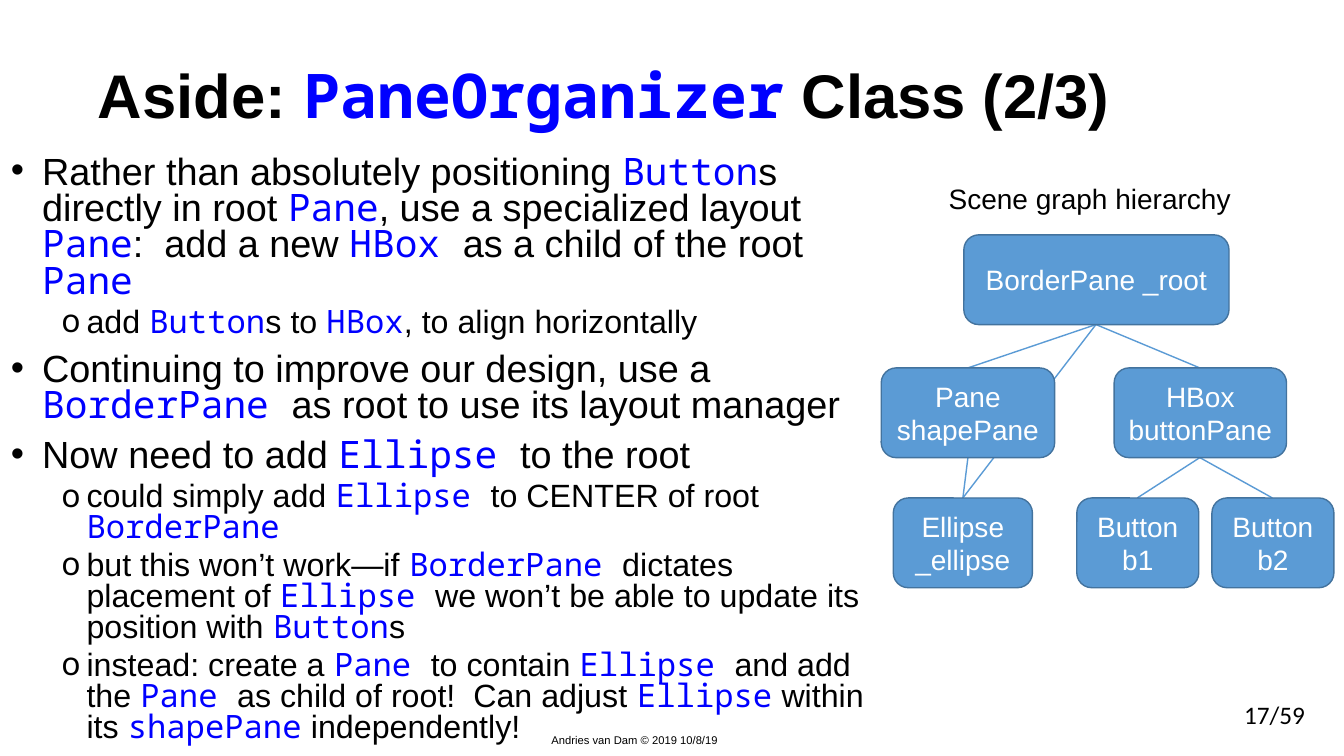
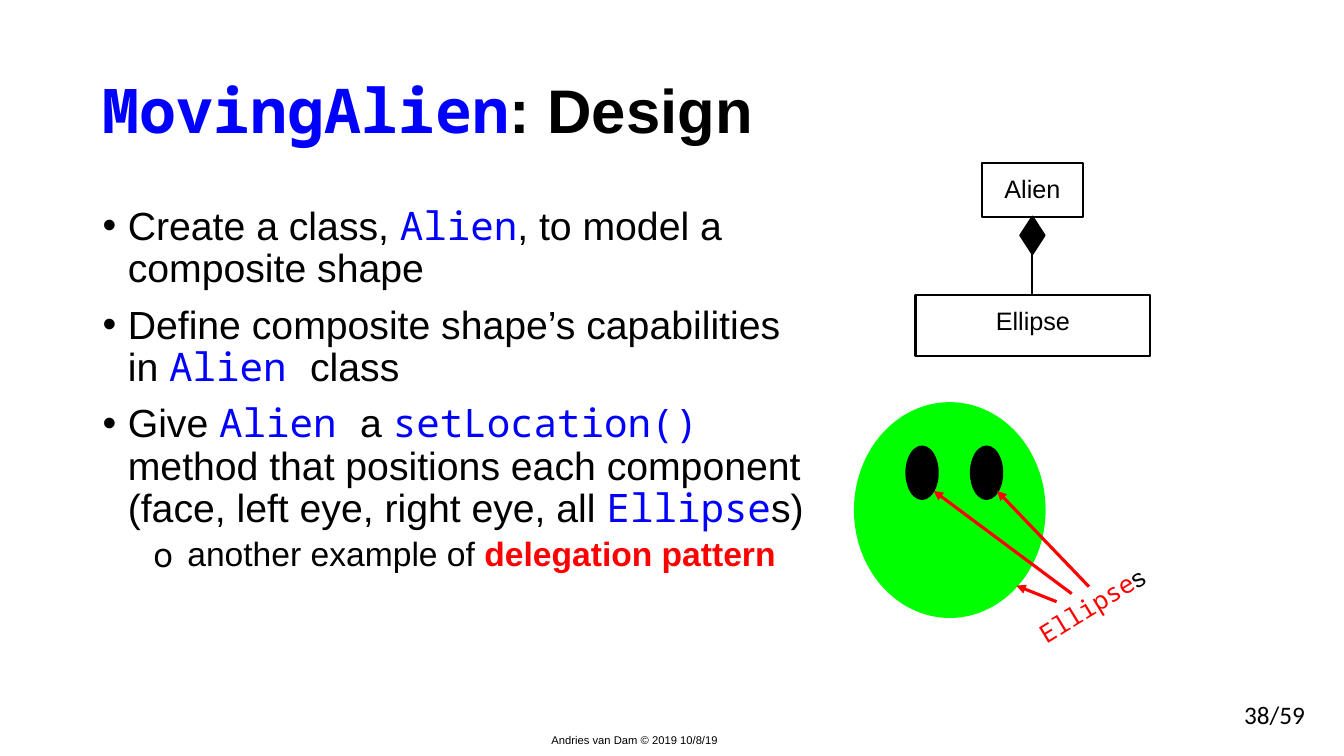
from lxml import etree
from pptx import Presentation
from pptx.dml.color import RGBColor
from pptx.enum.shapes import MSO_CONNECTOR, MSO_SHAPE
from pptx.enum.text import MSO_ANCHOR, MSO_AUTO_SIZE, PP_ALIGN
from pptx.oxml.ns import qn
from pptx.util import Pt

PX = 9144
TOP, MIDDLE = MSO_ANCHOR.TOP, MSO_ANCHOR.MIDDLE
LEFT, CENTER = PP_ALIGN.LEFT, PP_ALIGN.CENTER
NO_FIT, GROW = MSO_AUTO_SIZE.NONE, MSO_AUTO_SIZE.SHAPE_TO_FIT_TEXT
STRAIGHT = MSO_CONNECTOR.STRAIGHT
ROUNDED, RECT = MSO_SHAPE.ROUNDED_RECTANGLE, MSO_SHAPE.RECTANGLE
OVAL, DIAMOND = MSO_SHAPE.OVAL, MSO_SHAPE.FLOWCHART_DECISION

COLORS = {
    "text": "000000",
    "code": "0000FF",
    "key": "FF0000",
    "node": "5B9BD5",
    "node_edge": "43739E",
    "node_text": "FFFFFF",
    "alien": "00FF00",
}
RGB = {name: RGBColor.from_string(value) for name, value in COLORS.items()}

PLAIN = {"name": "Arial", "color": "text"}
CODE = {"name": "Noto Sans Mono", "color": "code"}
KEY = {"name": "Arial", "color": "key", "bold": True}
RED_CODE = {"name": "Noto Sans Mono", "color": "key"}
PAGE = {"name": "Calibri", "color": "text"}
NODE = {"name": "Arial", "color": "node_text"}


def add_runs(paragraph, text, size, plain=PLAIN, accent=CODE, bold=False):
    for index, part in enumerate(text.split("`")):
        if part:
            run = paragraph.add_run()
            run.text = part
            style = {"size": Pt(size), "bold": bold, **(accent if index % 2 else plain)}
            run.font.color.rgb = RGB[style.pop("color")]
            for name, value in style.items():
                setattr(run.font, name, value)


def add_line(slide, start, end, color, width, arrow=False):
    connector = slide.shapes.add_connector(STRAIGHT, *[v * PX for v in (*start, *end)])
    connector.line.color.rgb = RGB[color]
    connector.line.width = Pt(width)
    properties = connector._element.spPr
    if arrow:
        etree.SubElement(properties.find(qn("a:ln")), qn("a:tailEnd"), type="triangle")
    etree.SubElement(properties, qn("a:effectLst"))


PAGES = [
    {
        "title": "Aside: `PaneOrganizer` Class (2/3)",
        "title_box": (87, 60, 1150, 145),
        "anchor": TOP,
        "page": "17/59",
        "body_box": (1, 150, 892, 579),
        "spacing": 0.8,
        "levels": [(27, 31, 31), (23, 75, 25)],
        "body": [
            (0, "Rather than absolutely positioning `Button`s directly in root `Pane`, "
                "use a specialized layout `Pane`:  add a new `HBox `as a child of the root `Pane`"),
            (1, "add `Button`s to `HBox`, to align horizontally"),
            (0, "Continuing to improve our design, use a `BorderPane `as root to use its layout manager"),
            (0, "Now need to add `Ellipse `to the root"),
            (1, "could simply add `Ellipse `to CENTER of root `BorderPane`"),
            (1, "but this won’t work—if `BorderPane `dictates placement of `Ellipse `"
                "we won’t be able to update its position with `Button`s"),
            (1, "instead: create a `Pane `to contain `Ellipse `and add the `Pane `as child of root!"
                "  Can adjust `Ellipse` within its `shapePane` independently!"),
        ],
    },
    {
        "title": "`MovingAlien`: Design",
        "title_box": (92, 40, 1150, 145),
        "anchor": MIDDLE,
        "page": "38/59",
        "body_box": (92, 200, 724, 476),
        "spacing": 0.9,
        "levels": [(28, 25, 25), (24, 84, 34)],
        "sub_accent": KEY,
        "body": [
            (0, "Create a class, `Alien`, to model a composite shape"),
            (0, "Define composite shape’s capabilities in `Alien `class"),
            (0, "Give `Alien `a `setLocation() `method that positions each component "
                "(face, left eye, right eye, all `Ellipse`s)"),
            (1, "another example of `delegation pattern`"),
        ],
    },
]
BULLETS = [("Arial", "•", 10), ("Noto Sans Mono", "o", 5)]

deck = Presentation()
deck.slide_width, deck.slide_height = 1333 * PX, 750 * PX
title_only = deck.slide_layouts[5]
slides = []
labels = []

for page in PAGES:
    slide = deck.slides.add_slide(title_only)
    slides.append(slide)
    title = slide.shapes.title
    for side, value in zip(("left", "top", "width", "height"), page["title_box"]):
        setattr(title, side, value * PX)
    frame = title.text_frame
    frame.auto_size = NO_FIT
    frame.word_wrap = True
    frame.vertical_anchor = page["anchor"]
    heading = frame.paragraphs[0]
    heading.alignment = LEFT
    heading.line_spacing = 0.9
    add_runs(heading, page["title"], 44, bold=True)

    body = slide.shapes.add_textbox(*[v * PX for v in page["body_box"]]).text_frame
    body.word_wrap = True
    for index, (level, text) in enumerate(page["body"]):
        paragraph = body.add_paragraph() if index else body.paragraphs[0]
        size, margin, hanging = page["levels"][level]
        bullet_font, bullet, gap = BULLETS[level]
        paragraph.level = level
        paragraph.line_spacing = page["spacing"]
        paragraph.space_before = Pt(gap if index else 0)
        properties = paragraph._p.get_or_add_pPr()
        properties.set("marL", str(margin * PX))
        properties.set("indent", str(-hanging * PX))
        etree.SubElement(properties, qn("a:buFont"), typeface=bullet_font)
        etree.SubElement(properties, qn("a:buChar"), char=bullet)
        accent = page.get("sub_accent", CODE) if level else CODE
        add_runs(paragraph, text, size, accent=accent)

    labels += [
        (slide, (537, 723, 259, 54), "Andries van Dam © 2019 10/8/19", 8, PLAIN, 5, 0),
        (slide, (1224, 689, 165, 71), page["page"], 18, PAGE, 5, 0),
    ]

hierarchy, design = slides

NODES = {
    "root": ((956, 233, 263, 89), ["BorderPane _root"]),
    "shapes": ((874, 365, 172, 89), ["Pane shapePane"]),
    "buttons": ((1105, 365, 171, 89), ["HBox buttonPane"]),
    "ellipse": ((886, 494, 138, 89), ["Ellipse _ellipse"]),
    "b1": ((1068, 494, 121, 89), ["Button", "b1"]),
    "b2": ((1202, 494, 121, 89), ["Button", "b2"]),
}
EDGES = [
    ("root", "ellipse"), ("root", "shapes"), ("root", "buttons"),
    ("shapes", "ellipse"), ("buttons", "b1"), ("buttons", "b2"),
]
for parent, child in EDGES:
    left, top, width, height = NODES[parent][0]
    child_left, child_top, child_width, _ = NODES[child][0]
    add_line(hierarchy, (left + width // 2, top + height),
             (child_left + child_width // 2, child_top), "node", 1)

add_line(design, (1024, 293), (1024, 215), "text", 1.5)

figures = [(hierarchy, ROUNDED, box, "node", "node_edge", 1, lines, 20, NODE, MIDDLE)
           for box, lines in NODES.values()]
figures += [(design, RECT, box, None, "text", 1.5, [name], 18, PLAIN, TOP)
            for name, box in (("Alien", (974, 162, 100, 53)), ("Ellipse", (908, 293, 233, 60)))]
figures += [(design, kind, box, color, color, 1.5, [], 18, PLAIN, TOP)
            for kind, box, color in (
                (DIAMOND, (1012, 215, 24, 37), "text"),
                (OVAL, (848, 400, 188, 212), "alien"),
                (OVAL, (899, 443, 31, 52), "text"),
                (OVAL, (963, 443, 31, 52), "text"))]

for slide, kind, box, fill, edge, width, lines, size, style, anchor in figures:
    figure = slide.shapes.add_shape(kind, *[v * PX for v in box])
    figure.shadow.inherit = False
    if fill:
        figure.fill.solid()
        figure.fill.fore_color.rgb = RGB[fill]
    else:
        figure.fill.background()
    figure.line.color.rgb = RGB[edge]
    figure.line.width = Pt(width)
    frame = figure.text_frame
    frame.vertical_anchor = anchor
    if anchor == TOP:
        frame.margin_top = frame.margin_bottom = 10 * PX
    for index, text in enumerate(lines):
        paragraph = frame.add_paragraph() if index else frame.paragraphs[0]
        paragraph.alignment = CENTER
        add_runs(paragraph, text, size, style)

for start, end in (((1080, 582), (989, 487)), ((1063, 589), (926, 487)), ((1048, 597), (1008, 581))):
    add_line(design, start, end, "key", 2.25, arrow=True)

labels += [
    (hierarchy, (931, 175, 325, 44), "Scene graph hierarchy", 20, PLAIN, 5, 0),
    (design, (1007, 556, 212, 43), "`Ellipse`s", 18, PLAIN, 10, 328.7),
]
for slide, box, text, size, style, inset, rotation in labels:
    label = slide.shapes.add_textbox(*[v * PX for v in box])
    label.rotation = rotation
    frame = label.text_frame
    frame.word_wrap = True
    frame.auto_size = NO_FIT if rotation else GROW
    frame.margin_top = frame.margin_bottom = inset * PX
    add_runs(frame.paragraphs[0], text, size, style, RED_CODE)

deck.save("out.pptx")
